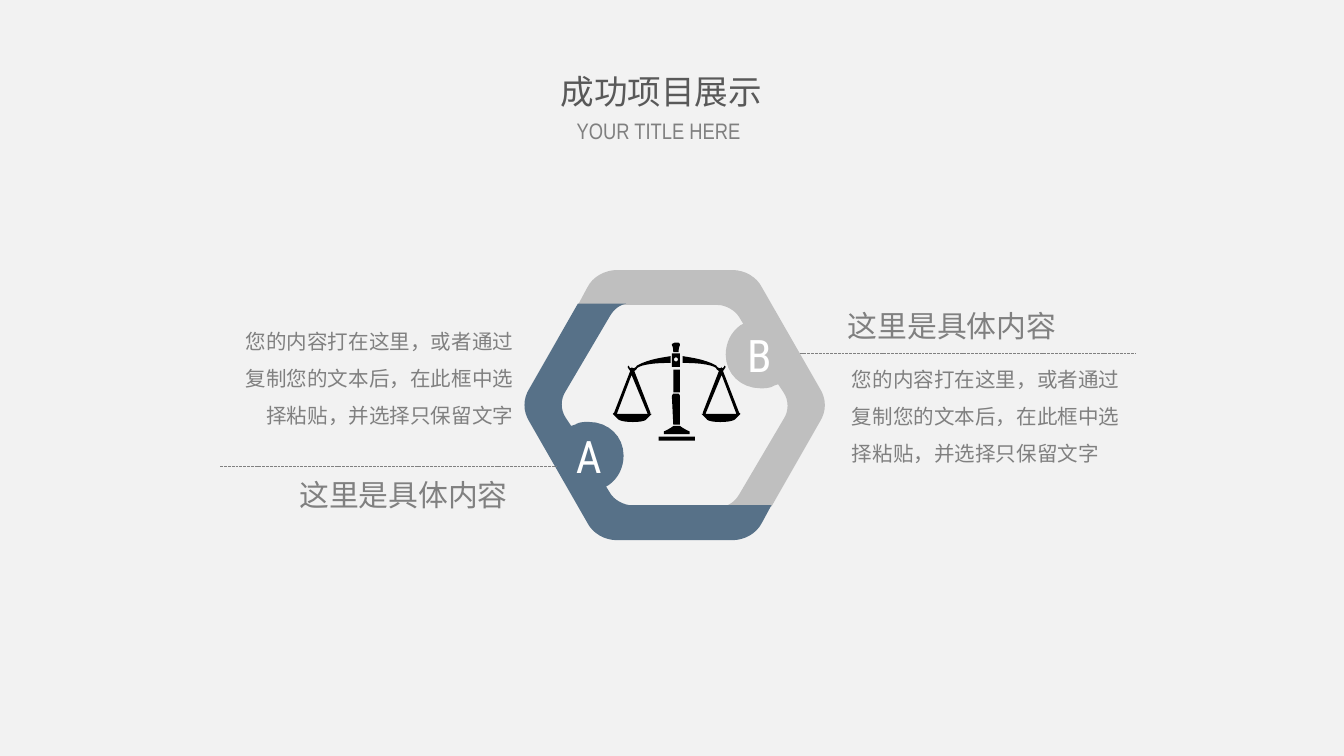
from dataclasses import dataclass
from pptx import Presentation
from pptx.dml.color import RGBColor as RGB
from pptx.enum.dml import MSO_LINE as Dash
from pptx.enum.shapes import MSO_CONNECTOR as Link, MSO_SHAPE as Kind
from pptx.enum.text import MSO_ANCHOR as Anchor, MSO_AUTO_SIZE as Fit, PP_ALIGN as Align
from pptx.oxml.ns import qn
from pptx.util import Pt

PX = 9144  # 100 px to the inch


@dataclass(frozen=True)
class Theme:
    back: str = "F2F2F2"
    ring: str = "BFBFBF"
    blue: str = "577188"
    ink: str = "000000"
    white: str = "FFFFFF"
    dark: str = "595959"
    grey: str = "808080"
    cjk: str = "Noto Sans CJK SC"
    narrow: str = "Arial Narrow"
    round: str = "Roboto Condensed"
    title: int = 18
    sub: int = 12
    head: int = 16
    body: int = 11
    mark: int = 24


T = Theme()
HEAD = "这里是具体内容"
BODY = "您的内容打在这里，或者通过复制您的文本后，在此框中选择粘贴，并选择只保留文字"

# Outlines: M move, L line, C curve, Z close
HALF = """M 459 201 L 545 201 C 554 201 563 206 567 214 L 610 289
C 615 297 615 306 610 314 L 574 377 L 538 377 C 543 376 547 373 550 368
L 583 312 C 587 306 587 298 583 292 L 579 286 L 576 287 C 573 289 569 289 566 289
C 551 289 540 278 540 264 C 540 255 544 247 551 242 L 553 241 L 550 236
C 547 231 540 227 534 227 L 430 227 L 437 214 C 441 206 450 201 459 201 Z"""
PAN = """M 484 308 L 484 307 L 472 276 C 474 275 474 274 474 274
C 474 274 477 270 499 270 L 499 265 C 494 266 483 267 474 272
C 474 272 473 274 471 274 L 470 273 L 470 274 C 468 274 468 272 468 272
L 467 273 C 467 273 468 275 469 276 L 457 307 L 456 308 L 460 312
C 460 312 462 314 471 314 C 480 314 481 312 481 312 L 485 308 Z
M 472 308 L 459 308 L 470 279 L 482 308 Z"""
HUB = """M 506 263 L 500 263 L 500 273 L 506 273 Z
M 503 269 C 501 269 501 266 503 266 C 505 266 505 269 503 269 Z"""
FOOT = """M 494 323 L 513 323 L 513 321 C 513 321 510 320 506 317
L 501 317 C 497 320 494 321 494 321 Z"""
POST = """M 500 295 L 500 296 L 501 316 L 506 316 L 506 296 L 506 295
C 506 295 506 294 505 293 L 501 293 C 500 294 500 295 500 295 Z"""
CAP = """M 501 262 L 505 262 C 505 258 506 257 506 257 L 506 256 L 505 255
L 502 255 L 500 256 L 500 257 C 500 257 501 258 501 262 Z"""


def color(text):
    return RGB.from_string(text)


def curve(a, b, c, d, steps=8):
    for i in range(1, steps + 1):
        t = i / steps
        u = 1 - t
        yield tuple(u**3 * p + 3 * u * u * t * q + 3 * u * t * t * r + t**3 * s
                    for p, q, r, s in zip(a, b, c, d))


def trace(path):
    """Turn an outline into one list of points per contour."""
    parts, words = [], iter(path.split())

    def point():
        return int(next(words)), int(next(words))

    for word in words:
        if word == "M":
            parts.append([point()])
        elif word == "L":
            parts[-1].append(point())
        elif word == "C":
            parts[-1].extend(curve(parts[-1][-1], point(), point(), point()))
    return parts


def paint(shape, fill):
    shape.fill.solid()
    shape.fill.fore_color.rgb = color(fill)
    shape.line.fill.background()
    shape.shadow.inherit = False


def draw(shapes, path, fill, turn=lambda x, y: (x, y)):
    pen = None
    for part in trace(path):
        dots = [tuple(round(v * PX) for v in turn(*dot)) for dot in part]
        if pen is None:
            pen = shapes.build_freeform(*dots[0], scale=1.0)
        else:
            pen.move_to(*dots[0])
        pen.add_line_segments(dots[1:], close=True)
    paint(pen.convert_to_shape(), fill)


def block(shapes, box, fill):
    paint(shapes.add_shape(Kind.RECTANGLE, *(v * PX for v in box)), fill)


def write(shape, text, size, font, tint, align=Align.LEFT, space=1.0, wrap=True):
    frame = shape.text_frame
    frame.word_wrap = wrap
    frame.auto_size = Fit.SHAPE_TO_FIT_TEXT
    frame.vertical_anchor = Anchor.TOP
    para = frame.paragraphs[0]
    para.alignment, para.line_spacing, para.space_before = align, space, Pt(0)
    run = para.add_run()
    run.text = text
    run.font.size, run.font.name = Pt(size), font
    run.font.color.rgb = color(tint)
    east = run.font._element.makeelement(qn("a:ea"), {"typeface": font})
    run.font._element.find(qn("a:latin")).addnext(east)


def label(slide, box, *args, **opts):
    write(slide.shapes.add_textbox(*(v * PX for v in box)), *args, **opts)


def fill_in(shape, box, *args):
    shape.left, shape.top, shape.width, shape.height = (v * PX for v in box)
    write(shape, *args, align=Align.CENTER)


def rule(slide, x, y, width):
    line = slide.shapes.add_connector(Link.STRAIGHT, x * PX, y * PX, (x + width) * PX, y * PX)
    line.line.color.rgb = color(T.grey)
    line.line.width = Pt(0.5)
    line.line.dash_style = Dash.SQUARE_DOT
    props = line._element.spPr
    props.append(props.makeelement(qn("a:effectLst"), {}))


def scales(slide):
    icon = slide.shapes.add_group_shape().shapes
    for path in (HUB, FOOT, POST, CAP, PAN):
        draw(icon, path, T.ink)
    draw(icon, PAN, T.ink, lambda x, y: (1007 - x, y))
    for box in ((501, 275, 5, 17), (490, 325, 27, 3)):
        block(icon, box, T.ink)


def main():
    deck = Presentation()
    deck.slide_width = 1000 * PX
    deck.slide_height = deck.slide_width * 9 // 16
    slide = deck.slides.add_slide(deck.slide_layouts[0])
    slide.background.fill.solid()
    slide.background.fill.fore_color.rgb = color(T.back)

    # Heading
    title, sub = slide.placeholders
    fill_in(title, (380, 48, 224, 40), "成功项目展示", T.title, T.cjk, T.dark)
    fill_in(sub, (418, 82, 144, 30), "YOUR TITLE HERE", T.sub, T.narrow, T.grey)

    # Hexagon ring: the second half is the first one turned around
    draw(slide.shapes, HALF, T.ring)
    draw(slide.shapes, HALF, T.blue, lambda x, y: (1004 - x, 603 - y))
    for text, x, y in (("B", 521, 239), ("A", 394, 314)):
        label(slide, (x, y, 88, 50), text, T.mark, T.round, T.white, align=Align.CENTER)

    scales(slide)

    # Side notes: rule, heading and body places
    for line, head, body, align in (
        ((595, 263), (621, 224), (624, 259), Align.LEFT),
        ((164, 347), (213, 350), (171, 231), Align.RIGHT),
    ):
        rule(slide, *line, 250)
        label(slide, (*head, 177, 37), HEAD, T.head, T.cjk, T.grey, wrap=False)
        label(slide, (*body, 221, 93), BODY, T.body, T.cjk, T.grey, align=align, space=1.5)

    deck.save("out.pptx")


if __name__ == "__main__":
    main()
